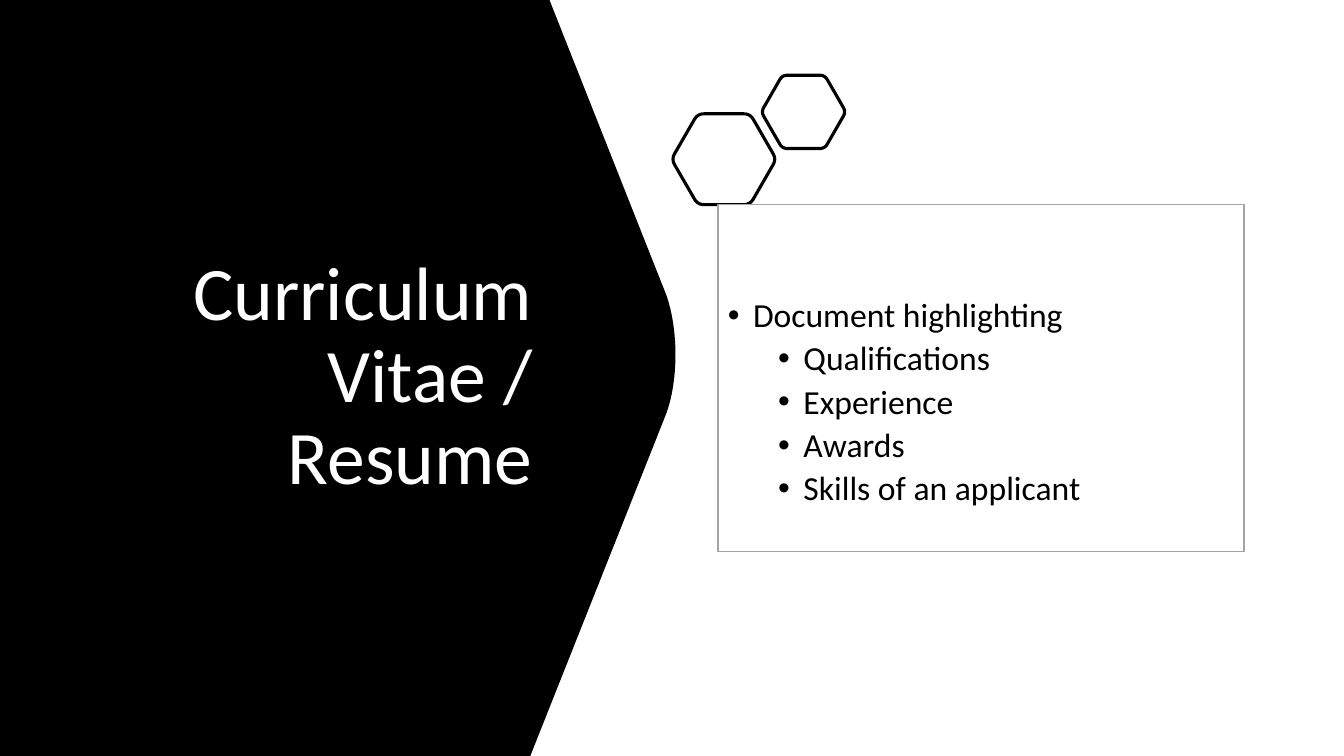
import math

from lxml import etree
from pptx import Presentation
from pptx import util as u
from pptx.dml.color import RGBColor
from pptx.enum import shapes, text
from pptx.oxml.ns import qn

COLORS = {"panel": "000000", "title": "FFFFFF", "box": "FFFFFF",
          "border": "A5A5A5", "ink": "000000"}
FONT = "Calibri"
# Text and its outline level
HIGHLIGHTS = [("Document highlighting", 0), ("Qualifications", 1),
              ("Experience", 1), ("Awards", 1), ("Skills of an applicant", 1)]
# Left indent and space before, for each level
LEVELS = [(0.25, 10), (0.75, 5)]
HANGING = 0.25


def color(name):
    return RGBColor.from_string(COLORS[name])


def apply(target, values):
    for name, value in values.items():
        setattr(target, name, value)


def blend(a, b, t):
    return a[0] + (b[0] - a[0]) * t, a[1] + (b[1] - a[1]) * t


def curve(controls, steps=16):
    """Points along a Bezier curve of any degree."""
    points = []
    for step in range(steps + 1):
        level = controls
        while len(level) > 1:
            level = [blend(a, b, step / steps) for a, b in zip(level, level[1:])]
        points.append(level[0])
    return points


def style_shape(shape, fill=None, line=None, weight=1):
    shape.shadow.inherit = False
    if fill:
        shape.fill.solid()
        shape.fill.fore_color.rgb = color(fill)
    else:
        shape.fill.background()
    if line:
        shape.line.color.rgb = color(line)
        shape.line.width = u.Pt(weight)
    else:
        shape.line.fill.background()


def add_outline(slide, points, **style):
    start, *rest = [(u.Inches(x), u.Inches(y)) for x, y in points]
    builder = slide.shapes.build_freeform(*start)
    builder.add_line_segments(rest, close=True)
    style_shape(builder.convert_to_shape(), **style)


def add_hexagon(slide, x, y, radius):
    """Regular hexagon with rounded corners."""
    corners = [(x + radius * math.cos(math.radians(a)),
                y + radius * math.sin(math.radians(a))) for a in range(0, 360, 60)]
    points = []
    for i, corner in enumerate(corners):
        before, after = corners[i - 1], corners[(i + 1) % 6]
        points += curve([blend(corner, before, 0.12), corner,
                         blend(corner, after, 0.12)], steps=6)
    add_outline(slide, points, line="ink", weight=2.25)


def write(paragraph, words, size, ink, **layout):
    apply(paragraph, {"line_spacing": 0.9, **layout})
    run = paragraph.add_run()
    run.text = words
    apply(run.font, {"name": FONT, "size": u.Pt(size)})
    run.font.color.rgb = color(ink)


def add_bullet(paragraph, indent):
    props = paragraph._p.get_or_add_pPr()
    props.set("marL", str(u.Inches(indent)))
    props.set("indent", str(-u.Inches(HANGING)))
    etree.SubElement(props, qn("a:buFont")).set("typeface", "Arial")
    etree.SubElement(props, qn("a:buChar")).set("char", "•")


def add_title(slide, words):
    title = slide.shapes.add_textbox(*map(u.Inches, (0.84, 1.41, 4.54, 4.68)))
    frame = title.text_frame
    apply(frame, {"word_wrap": True, "vertical_anchor": text.MSO_ANCHOR.MIDDLE})
    write(frame.paragraphs[0], words, 54, "title", alignment=text.PP_ALIGN.RIGHT)


def add_highlights(slide):
    box = slide.shapes.add_shape(shapes.MSO_SHAPE.RECTANGLE,
                                 *map(u.Inches, (7.12, 2.03, 5.22, 3.44)))
    style_shape(box, fill="box", line="border")
    frame = box.text_frame
    apply(frame, {"word_wrap": True, "vertical_anchor": text.MSO_ANCHOR.MIDDLE,
                  "margin_top": u.Inches(0.55)})
    for i, (words, level) in enumerate(HIGHLIGHTS):
        paragraph = frame.add_paragraph() if i else frame.paragraphs[0]
        indent, before = LEVELS[level]
        write(paragraph, words, 24, "ink", level=level,
              space_before=u.Pt(before), alignment=text.PP_ALIGN.LEFT)
        add_bullet(paragraph, indent)


def main():
    deck = Presentation()
    apply(deck, {"slide_width": u.Inches(13.33), "slide_height": u.Inches(7.5)})
    slide = deck.slides.add_slide(deck.slide_layouts[6])

    # Black panel with a rounded point
    point = curve([(6.61, 2.93), (6.73, 3.27), (6.73, 3.77), (6.61, 4.1)])
    add_outline(slide, [(0, 0), (5.45, 0), *point, (5.26, 7.5), (0, 7.5)],
                fill="panel")
    add_title(slide, "Curriculum Vitae / Resume")

    # Hexagon pair
    add_hexagon(slide, 7.18, 1.58, 0.52)
    add_hexagon(slide, 7.97, 1.11, 0.42)

    # Bulleted list
    add_highlights(slide)
    deck.save("out.pptx")


main()
